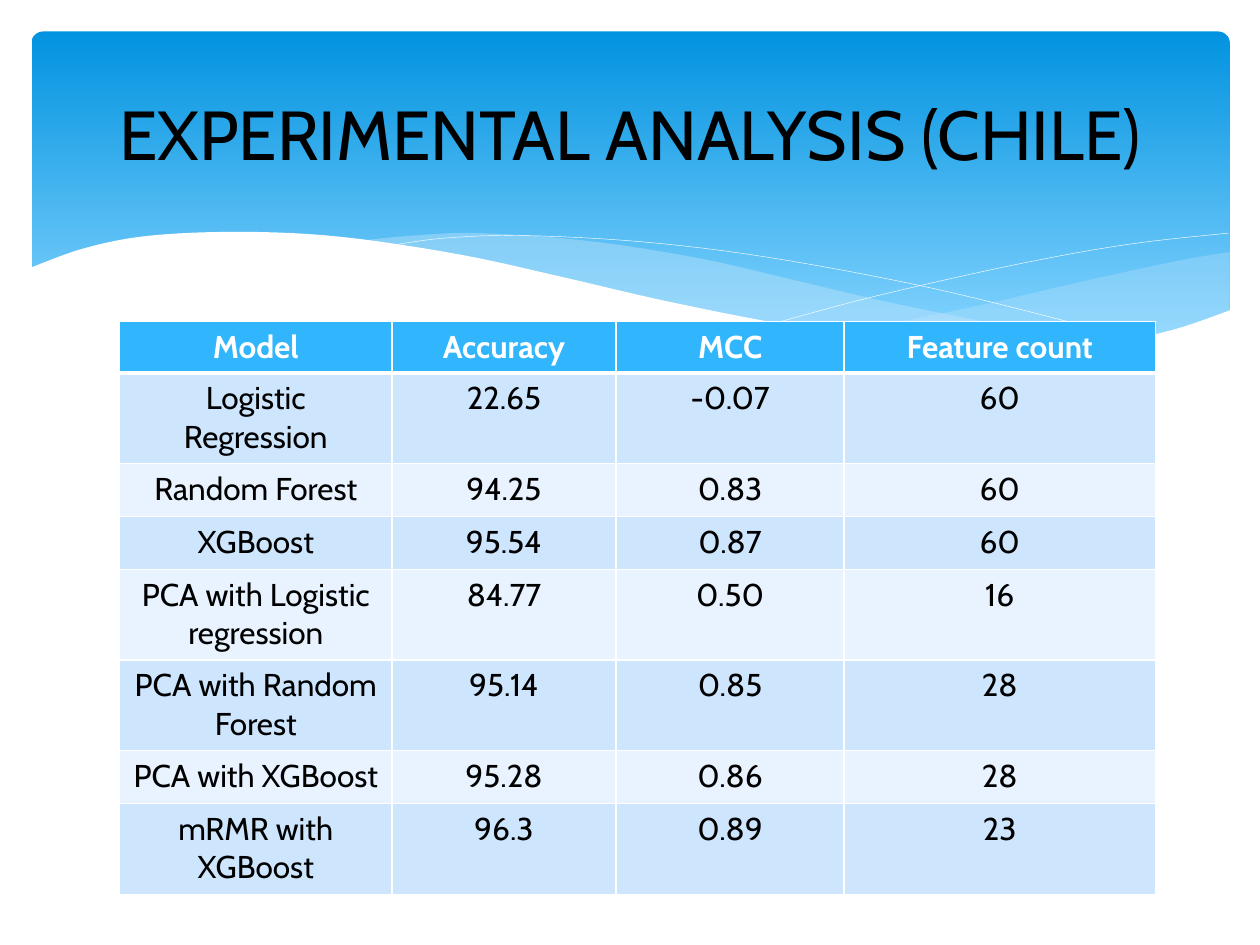
from lxml import etree
from pptx import Presentation, util as u
from pptx.dml.color import RGBColor
from pptx.enum import shapes, text
from pptx.oxml.ns import qn

FONT = "Cabin"
WHITE, BLACK, HEADER = "FFFFFF", "000000", "31B6FD"
BANDS = ("CEE5FE", "E8F3FF")
WAVE = "C6E7FC"
ONE_LINE_LIMIT = 16

CREST = [(-0.02, 1.88), (0.42, 1.72), (0.94, 1.62), (1.68, 1.59), (2.46, 1.63),
         (3.4, 1.77), (4.22, 1.95), (5.04, 2.14), (6.01, 2.33), (7.01, 2.47),
         (7.84, 2.52), (8.5, 2.48), (9.05, 2.37), (9.52, 2.21)]
PAGE_CORNERS = [(9.52, 3.04), (-0.02, 3.04)]
RIGHT_TOP = [(9.51, 1.75), (9.1, 1.82), (8.36, 1.98), (7.54, 2.17), (6.81, 2.32), (6.36, 2.4)]
RIGHT_BOTTOM = [(6.36, 2.4), (6.94, 2.47), (7.78, 2.53), (8.38, 2.5), (8.96, 2.4), (9.51, 2.22)]
MIDDLE_TOP = [(8.68, 2.48), (7.82, 2.35), (6.81, 2.15), (6.04, 1.97), (5.3, 1.8),
              (4.4, 1.66), (3.55, 1.6), (3.03, 1.62), (2.61, 1.66)]
MIDDLE_BOTTOM = [(2.61, 1.66), (3.37, 1.78), (4.24, 1.97), (5.05, 2.15), (5.93, 2.33),
                 (6.7, 2.45), (7.36, 2.52), (7.93, 2.53), (8.68, 2.48)]
FALLING = [(2.84, 1.7), (3.28, 1.64), (3.91, 1.62), (4.85, 1.67), (5.83, 1.79),
           (7.02, 2.01), (8.06, 2.26), (8.82, 2.47)]
RISING = [(5.88, 2.32), (6.7, 2.1), (7.81, 1.85), (8.7, 1.69), (9.5, 1.6)]

RESULTS = [
    ("Model", "Accuracy", "MCC", "Feature count"),
    ("Logistic Regression", "22.65", "-0.07", "60"),
    ("Random Forest", "94.25", "0.83", "60"),
    ("XGBoost", "95.54", "0.87", "60"),
    ("PCA with Logistic regression", "84.77", "0.50", "16"),
    ("PCA with Random Forest", "95.14", "0.85", "28"),
    ("PCA with XGBoost", "95.28", "0.86", "28"),
    ("mRMR with XGBoost", "96.3", "0.89", "23"),
]


def rgb(code):
    """Return the colour for a hex string."""
    return RGBColor.from_string(code)


def write(frame, content, size, color, bold=False):
    """Put one centred, formatted line of text in a text frame."""
    paragraph = frame.paragraphs[0]
    paragraph.alignment = text.PP_ALIGN.CENTER
    run = paragraph.add_run()
    run.text = content
    for key, value in {"name": FONT, "size": u.Pt(size), "bold": bold}.items():
        setattr(run.font, key, value)
    run.font.color.rgb = rgb(color)


def smooth(knots, steps=6):
    """Return points of a smooth curve through the knots."""
    padded = [knots[0], *knots, knots[-1]]
    points = [knots[0]]
    for a, b, c, d in zip(padded, padded[1:], padded[2:], padded[3:]):
        for step in range(1, steps + 1):
            t = step / steps
            points.append(tuple(
                (2 * q + (r - p) * t + (2 * p - 5 * q + 4 * r - s) * t ** 2
                 + (3 * q - p - 3 * r + s) * t ** 3) / 2
                for p, q, r, s in zip(a, b, c, d)))
    return points


def add_outline(slide, box, points, fill=None, opacity=100):
    """Draw a filled wave, or a thin white strand when no fill is given."""
    left, top = box[:2]
    start, *rest = [(u.Inches(left + x), u.Inches(top + y)) for x, y in points]
    builder = slide.shapes.build_freeform(*start)
    builder.add_line_segments(rest, close=bool(fill))
    outline = builder.convert_to_shape()
    outline.shadow.inherit = False
    if not fill:
        outline.fill.background()
        outline.line.color.rgb = rgb(WHITE)
        outline.line.width = u.Pt(0.25)
        return
    outline.line.fill.background()
    outline.fill.solid()
    outline.fill.fore_color.rgb = rgb(fill)
    if opacity < 100:
        color = outline.fill._xPr.find(qn("a:solidFill"))[0]
        etree.SubElement(color, qn("a:alpha"), val=str(opacity * 1000))


def add_banner(slide, box):
    """Draw the gradient panel with its waves and strands."""
    panel = slide.shapes.add_shape(shapes.MSO_SHAPE.ROUNDED_RECTANGLE, *map(u.Inches, box))
    panel.adjustments[0] = 0.034
    panel.shadow.inherit = False
    panel.line.fill.background()
    panel.fill.gradient()
    panel.fill.gradient_angle = 270
    for stop, (position, color) in zip(panel.fill.gradient_stops, [(0, "0293E0"), (0.9, "83D3FE")]):
        stop.position = position
        stop.color.rgb = rgb(color)
    add_outline(slide, box, smooth(RIGHT_TOP) + smooth(RIGHT_BOTTOM), WAVE, 29)
    add_outline(slide, box, smooth(MIDDLE_TOP) + smooth(MIDDLE_BOTTOM), WAVE, 40)
    for strand in (FALLING, RISING):
        add_outline(slide, box, smooth(strand))
    add_outline(slide, box, smooth(CREST) + PAGE_CORNERS, WHITE)


def place_title(slide, box, content):
    """Set the title and bring it in front of the banner."""
    title = slide.shapes.title
    for side, value in zip(("left", "top", "width", "height"), box):
        setattr(title, side, u.Inches(value))
    title.text_frame.vertical_anchor = text.MSO_ANCHOR.MIDDLE
    title.text_frame.word_wrap = True
    write(title.text_frame, content, 39.6, BLACK)
    slide.shapes._spTree.append(title._element)


def set_borders(cell, widths):
    """Give a cell white borders, widths in points by side."""
    properties = cell._tc.get_or_add_tcPr()
    for index, side in enumerate("LRTB"):
        border = etree.Element(qn(f"a:ln{side}"), w=str(u.Pt(widths.get(side, 1))))
        paint = etree.SubElement(border, qn("a:solidFill"))
        etree.SubElement(paint, qn("a:srgbClr"), val=WHITE)
        properties.insert(index, border)


def add_results(slide, box, column_widths):
    """Build the table of model results."""
    frame = slide.shapes.add_table(len(RESULTS), len(column_widths), *map(u.Inches, box))
    table = frame.table
    for column, width in zip(table.columns, column_widths):
        column.width = u.Inches(width)
    for i, record in enumerate(RESULTS):
        is_header = i == 0
        height = 0.72 if len(record[0]) > ONE_LINE_LIMIT else 0.41 if is_header else 0.42
        table.rows[i].height = u.Inches(height)
        for j, value in enumerate(record):
            cell = table.cell(i, j)
            cell.fill.solid()
            cell.fill.fore_color.rgb = rgb(HEADER if is_header else BANDS[(i - 1) % 2])
            write(cell.text_frame, value, 18, WHITE if is_header else BLACK, is_header)
            set_borders(cell, {0: {"B": 3}, 1: {"T": 3}}.get(i, {}))


def main():
    """Build and save the slide."""
    deck = Presentation()
    deck.slide_width, deck.slide_height = u.Inches(10), u.Inches(7.5)
    slide = deck.slides.add_slide(deck.slide_layouts[5])
    add_banner(slide, (0.25, 0.25, 9.51, 2.7))
    place_title(slide, (0.5, 0.37, 9, 1.37), "EXPERIMENTAL ANALYSIS (CHILE)")
    add_results(slide, (0.95, 2.55, 8.22, 4.5), (2.16, 1.78, 1.81, 2.47))
    deck.save("out.pptx")


if __name__ == "__main__":
    main()
